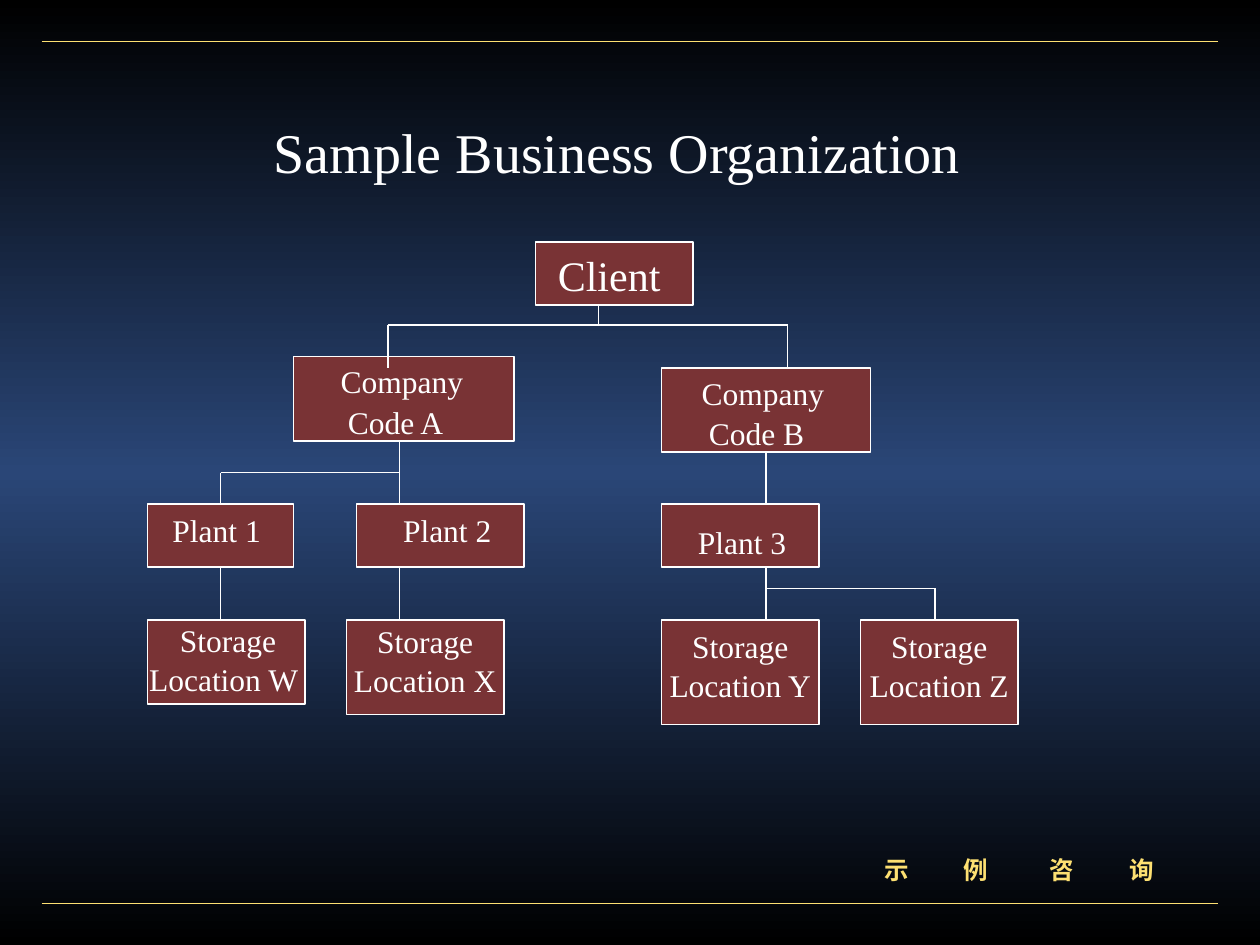
from copy import deepcopy

from pptx import Presentation
from pptx.dml.color import RGBColor
from pptx.enum.shapes import MSO_CONNECTOR, MSO_SHAPE
from pptx.enum.text import MSO_ANCHOR, MSO_AUTO_SIZE, PP_ALIGN
from pptx.oxml.ns import qn
from pptx.oxml.xmlchemy import OxmlElement
from pptx.util import Inches, Pt

WHITE, GOLD, RED = "FFFFFF", "FDE072", "793335"
SERIF, HAN = "Times New Roman", "Noto Sans CJK SC"


def tint(code):
    """Turn a hex string into a colour."""
    return RGBColor.from_string(code)


def paint(slide, codes):
    """Fill the background with an even vertical gradient."""
    fill = slide.background.fill
    fill.gradient()
    fill.gradient_angle = 90
    stops = slide._element.find(".//" + qn("a:gsLst"))
    stops.insert(1, deepcopy(stops[0]))
    for i, (stop, code) in enumerate(zip(fill.gradient_stops, codes)):
        stop.color.rgb = tint(code)
        stop.position = i / (len(codes) - 1)


def write(shape, text, size=18, font=SERIF, color=WHITE, bold=False,
          align=PP_ALIGN.CENTER, anchor=MSO_ANCHOR.MIDDLE, wrap=True,
          space=None, gap=0, indent=0, tabs=()):
    """Put formatted paragraphs into a shape."""
    frame = shape.text_frame
    frame.text = text
    frame.word_wrap = wrap
    frame.auto_size = MSO_AUTO_SIZE.NONE
    frame.vertical_anchor = anchor
    for i, para in enumerate(frame.paragraphs):
        para.alignment = align
        para.line_spacing = space
        para.space_before = Pt(gap if i else 0)
        props = para._p.get_or_add_pPr()
        if indent and not i:
            props.set("indent", str(Inches(indent)))
        if tabs:
            stops = OxmlElement("a:tabLst")
            for pos in tabs:
                stop = OxmlElement("a:tab")
                stop.set("pos", str(Inches(pos)))
                stop.set("algn", "l")
                stops.append(stop)
            props.append(stops)
        for run in para.runs:
            run.font.size, run.font.bold, run.font.name = Pt(size), bold, font
            run.font.color.rgb = tint(color)
            east = OxmlElement("a:ea")
            east.set("typeface", font)
            run.font._element.find(qn("a:latin")).addnext(east)


def label(slide, text, left, top, width, height, **form):
    """Add a text box."""
    area = map(Inches, (left, top, width, height))
    write(slide.shapes.add_textbox(*area), text, **form)


def box(slide, left, top, width, height):
    """Add a red box with a white edge."""
    area = map(Inches, (left, top, width, height))
    shape = slide.shapes.add_shape(MSO_SHAPE.RECTANGLE, *area)
    shape.shadow.inherit = False
    shape.fill.solid()
    shape.fill.fore_color.rgb = tint(RED)
    shape.line.color.rgb = tint(WHITE)
    shape.line.width = Pt(1)
    return shape


def link(slide, x1, y1, x2, y2, color=WHITE, start=None, end=None):
    """Add a straight line, joined to the boxes given."""
    ends = map(Inches, (x1, y1, x2, y2))
    line = slide.shapes.add_connector(MSO_CONNECTOR.STRAIGHT, *ends)
    line.line.color.rgb = tint(color)
    line.line.width = Pt(1)
    line._element.spPr.append(OxmlElement("a:effectLst"))
    if start:
        line.begin_connect(start, 2)
    if end:
        line.end_connect(end, 0)


def head(slide, text):
    """Place the title."""
    title = slide.shapes.title
    title.left, title.top = Inches(2.07), Inches(0.88)
    title.width, title.height = Inches(5.66), Inches(0.64)
    write(title, text, size=32, wrap=False)


def chart(slide):
    """Draw the boxes of the organization and their labels."""
    box(slide, 4.25, 1.92, 1.25, 0.5)
    box(slide, 2.33, 2.83, 1.75, 0.67)
    code = box(slide, 5.25, 2.92, 1.66, 0.67)
    plant = box(slide, 1.17, 4, 1.16, 0.5)
    box(slide, 2.83, 4, 1.33, 0.5)
    box(slide, 5.25, 4, 1.25, 0.5)
    box(slide, 1.17, 4.92, 1.25, 0.67)

    tight = {"space": 0.5, "gap": 11.2}
    for name, left, high in (("X", 2.75, 0.75), ("Y", 5.25, 0.83),
                             ("Z", 6.83, 0.83)):
        store = box(slide, left, 4.92, 1.25, high)
        write(store, f"Storage\nLocation {name}", wrap=False, **tight)
    label(slide, "Storage\nLocation W", 1.08, 5, 1.39, 0.58,
          indent=0.07, **tight)

    label(slide, "Client", 4.31, 1.93, 1.05, 0.5, size=24)
    for name, left, top, width in (("A", 2.33, 2.84, 1.62),
                                   ("B", 5.17, 2.93, 1.67)):
        label(slide, f"Company Code {name}", left, top, width, 0.67,
              space=Pt(23.3), indent=0.1)
    for num, left, top, width in ((1, 1.17, 4.01, 1.1), (2, 3.1, 4.01, 0.9),
                                  (3, 5.44, 4.1, 0.9)):
        label(slide, f"Plant {num}", left, top, width, 0.4, wrap=False)
    return code, plant


def wire(slide, code, plant):
    """Draw the lines between the levels."""
    for x, y1, y2 in ((4.75, 2.42, 2.58), (3.08, 2.58, 2.92),
                      (6.25, 2.58, 2.92), (3.17, 3.5, 4), (3.17, 4.5, 4.92),
                      (6.08, 4.5, 4.92), (7.42, 4.67, 4.92)):
        link(slide, x, y1, x, y2)
    for y, x1, x2 in ((2.58, 3.08, 6.25), (3.75, 1.75, 3.17),
                      (4.67, 6.08, 7.42)):
        link(slide, x1, y, x2, y)
    link(slide, 6.08, 3.59, 6.08, 4, start=code)
    link(slide, 1.75, 3.75, 1.75, 4, end=plant)
    link(slide, 1.75, 4.5, 1.75, 4.92, start=plant)


def main():
    """Build the slide and save it."""
    deck = Presentation()
    deck.slide_width, deck.slide_height = Inches(10), Inches(7.5)
    slide = deck.slides.add_slide(deck.slide_layouts[5])
    paint(slide, ("000000", "2A4677", "000000"))
    for y in (0.33, 7.17):
        link(slide, 0.33, y, 9.67, y, color=GOLD)
    head(slide, "Sample Business Organization")
    wire(slide, *chart(slide))
    label(slide, "示\t例\t咨\t询", 6.92, 6.74, 2.67, 0.33, size=14, font=HAN,
          color=GOLD, bold=True, align=PP_ALIGN.LEFT, anchor=MSO_ANCHOR.TOP,
          tabs=(0.63, 1.31, 1.95))
    deck.save("out.pptx")


if __name__ == "__main__":
    main()
